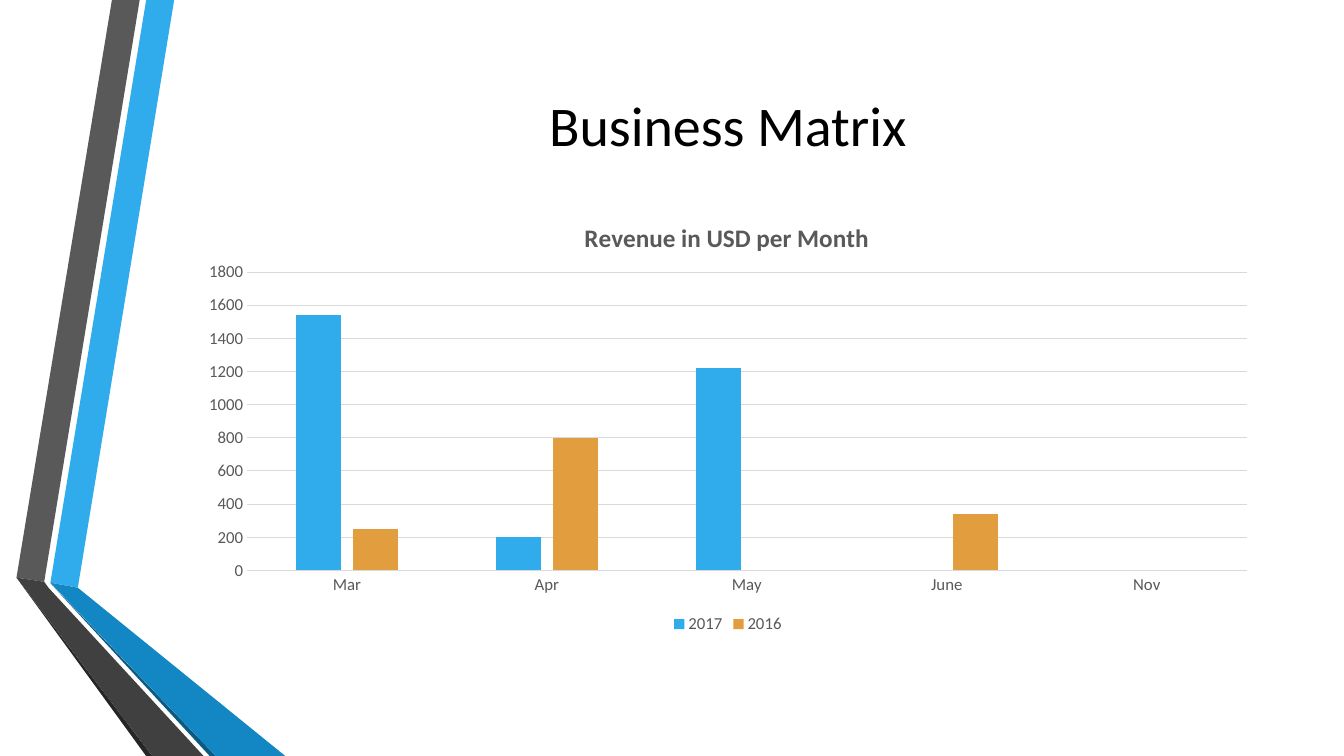
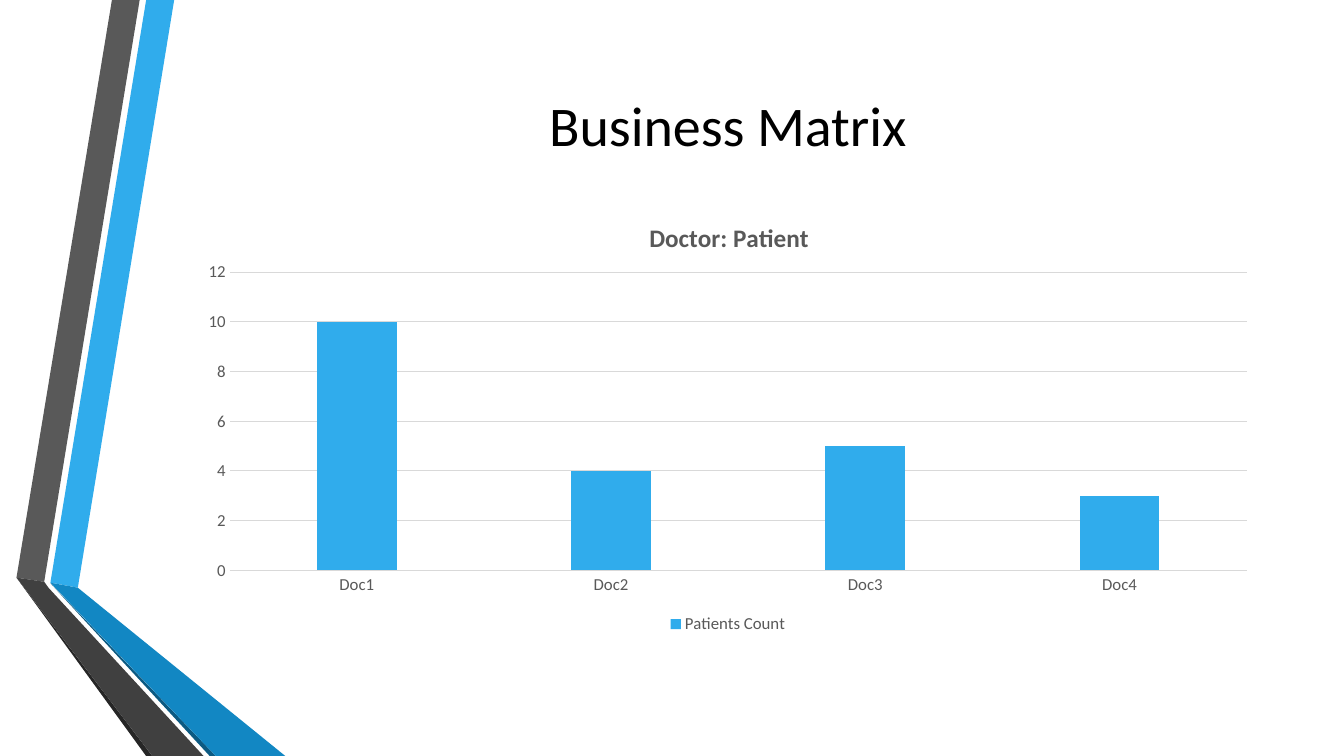
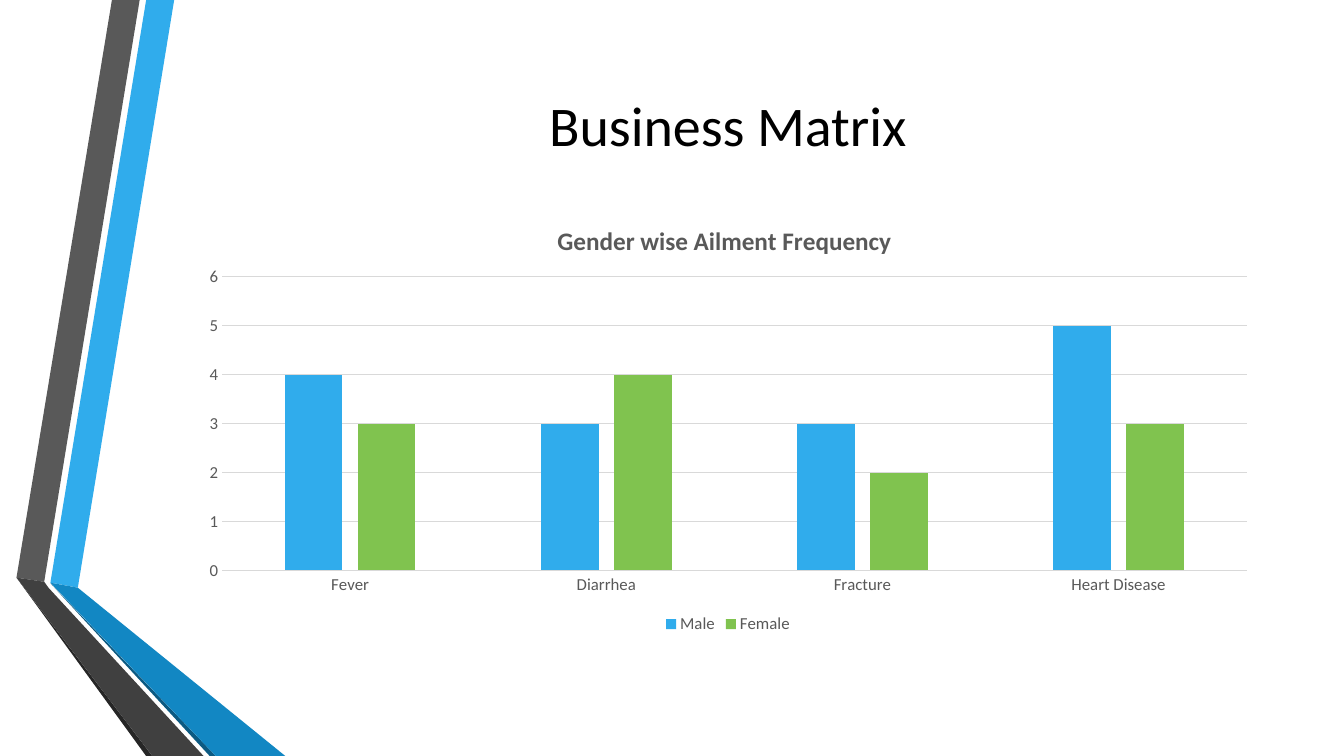
from pptx import Presentation
from pptx.chart.data import CategoryChartData
from pptx.dml.color import RGBColor
from pptx.enum.chart import XL_CHART_TYPE, XL_LEGEND_POSITION, XL_TICK_MARK
from pptx.enum.text import MSO_ANCHOR, PP_ALIGN
from pptx.oxml import parse_xml
from pptx.oxml.ns import nsdecls, qn
from pptx.util import Pt

COLUMNS = XL_CHART_TYPE.COLUMN_CLUSTERED
BOTTOM = XL_LEGEND_POSITION.BOTTOM
NO_TICK = XL_TICK_MARK.NONE
MIDDLE = MSO_ANCHOR.MIDDLE
CENTER = PP_ALIGN.CENTER

BLACK = RGBColor(0x00, 0x00, 0x00)
GRAY = RGBColor(0x59, 0x59, 0x59)
DARK_GRAY = RGBColor(0x40, 0x40, 0x40)
CHARCOAL = RGBColor(0x26, 0x26, 0x26)
GRID = RGBColor(0xD9, 0xD9, 0xD9)
BLUE = RGBColor(0x30, 0xAC, 0xEC)
DEEP_BLUE = RGBColor(0x12, 0x87, 0xC3)
NAVY = RGBColor(0x0C, 0x5A, 0x82)
ORANGE = RGBColor(0xE2, 0x9D, 0x3E)
GREEN = RGBColor(0x80, 0xC3, 0x4F)

FONT = "Calibri"
WIDTH, HEIGHT = 960, 540
LEFT, CONTENT_W = 134, 772

# Folded ribbons at the left edge: colour and outline in points
RIBBONS = [
    (BLUE, [(36, 416.2), (55.6, 419.8), (124.4, 0), (104.4, 0)]),
    (GRAY, [(99.8, 0), (80, 0), (11.8, 412.6), (31.6, 415.6)]),
    (CHARCOAL, [(11.8, 412.6), (104.4, HEIGHT), (108.8, HEIGHT)]),
    (NAVY, [(36, 416.6), (149.8, HEIGHT), (154.2, HEIGHT)]),
    (DEEP_BLUE, [(36, 416.2), (154.2, HEIGHT), (203.8, HEIGHT), (55.6, 419.8)]),
    (DARK_GRAY, [(145.4, HEIGHT), (34.6, 419.8), (31.6, 415.6), (11.8, 412.6),
                 (108.8, HEIGHT)]),
]


def set_font(font, size, color, bold=False):
    font.name, font.size, font.bold = FONT, Pt(size), bold
    font.color.rgb = color


def write(tf, text, size=12, color=BLACK, bold=False, align=CENTER):
    p = tf.paragraphs[0]
    p.alignment = align
    r = p.add_run()
    r.text = text
    set_font(r.font, size, color, bold)


def set_layout(parent, index, inner=False, **fractions):
    """Place a chart part by fractions of the chart's size."""
    for old in parent.findall(qn("c:layout")):
        parent.remove(old)
    parts = ['<c:layoutTarget val="inner"/>'] if inner else []
    parts += [f'<c:{k}Mode val="edge"/>' for k in "xy"]
    parts += [f'<c:{k} val="{v:.3f}"/>' for k, v in fractions.items()]
    parent.insert(index, parse_xml(
        f'<c:layout {nsdecls("c")}><c:manualLayout>{"".join(parts)}'
        "</c:manualLayout></c:layout>"))


class Deck:
    def __init__(self):
        self.prs = Presentation()
        self.prs.slide_width, self.prs.slide_height = Pt(WIDTH), Pt(HEIGHT)
        self.s = None

    def slide(self, title):
        self.s = self.prs.slides.add_slide(self.prs.slide_layouts[6])
        for color, points in RIBBONS:
            self.ribbon(color, points)
        self.title(title)

    def ribbon(self, color, points):
        start, *rest = [(Pt(x), Pt(y)) for x, y in points]
        builder = self.s.shapes.build_freeform(*start)
        builder.add_line_segments(rest, close=True)
        sp = builder.convert_to_shape()
        sp.shadow.inherit = False
        sp.fill.solid()
        sp.fill.fore_color.rgb = color
        sp.line.fill.background()

    def title(self, text):
        sp = self.s.shapes.add_textbox(Pt(LEFT), Pt(54), Pt(CONTENT_W), Pt(69))
        tf = sp.text_frame
        tf.word_wrap = True
        tf.vertical_anchor = MIDDLE
        write(tf, text, size=40)

    def column_chart(self, title, cats, series, title_at, plot_at):
        data = CategoryChartData()
        data.categories = cats
        for name, values, _ in series:
            data.add_series(name, values)
        chart = self.s.shapes.add_chart(
            COLUMNS, Pt(LEFT), Pt(140.4), Pt(CONTENT_W), Pt(315.4), data).chart
        set_font(chart.font, 10, BLACK)

        # Columns
        plot = chart.plots[0]
        plot.gap_width, plot.overlap = 219, -27
        plot.vary_by_categories = False
        for ser, (_, _, color) in zip(plot.series, series):
            ser.format.fill.solid()
            ser.format.fill.fore_color.rgb = color

        # Axes and gridlines
        cat_axis, val_axis = chart.category_axis, chart.value_axis
        for axis in (cat_axis, val_axis):
            axis.major_tick_mark = axis.minor_tick_mark = NO_TICK
            set_font(axis.tick_labels.font, 12, GRAY)
        val_axis.format.line.fill.background()
        for line in (cat_axis.format.line, val_axis.major_gridlines.format.line):
            line.color.rgb = GRID
            line.width = Pt(0.75)

        # Legend and title
        chart.has_legend = True
        chart.legend.position = BOTTOM
        chart.legend.include_in_layout = False
        set_font(chart.legend.font, 12, GRAY)
        chart.has_title = True
        write(chart.chart_title.text_frame, title, size=18, color=GRAY, bold=True)

        # Placement inside the chart
        x, y = plot_at
        root = chart.element
        set_layout(root.xpath("c:chart/c:title")[0], 1, x=title_at[0], y=title_at[1])
        set_layout(root.xpath("c:chart/c:plotArea")[0], 0, inner=True,
                   x=x, y=y, w=0.98 - x, h=0.847 - y)


CHARTS = [
    dict(title="Revenue in USD per Month",
         cats=["Mar", "Apr", "May", "June", "Nov"],
         series=[("2017", [1540, 200, 1220, None, None], BLUE),
                 ("2016", [250, 800, None, 340, None], ORANGE)],
         title_at=(0.363, 0.044), plot_at=(0.055, 0.171)),
    dict(title="Doctor: Patient",
         cats=["Doc1", "Doc2", "Doc3", "Doc4"],
         series=[("Patients Count", [10, 4, 5, 3], BLUE)],
         title_at=(0.423, 0.044), plot_at=(0.039, 0.171)),
    dict(title="Gender wise Ailment Frequency",
         cats=["Fever", "Diarrhea", "Fracture", "Heart Disease"],
         series=[("Male", [4, 3, 3, 5], BLUE),
                 ("Female", [3, 4, 2, 3], GREEN)],
         title_at=(0.338, 0.051), plot_at=(0.032, 0.182)),
]


def main():
    deck = Deck()
    for chart in CHARTS:
        deck.slide("Business Matrix")
        deck.column_chart(**chart)
    deck.prs.save("out.pptx")


if __name__ == "__main__":
    main()
